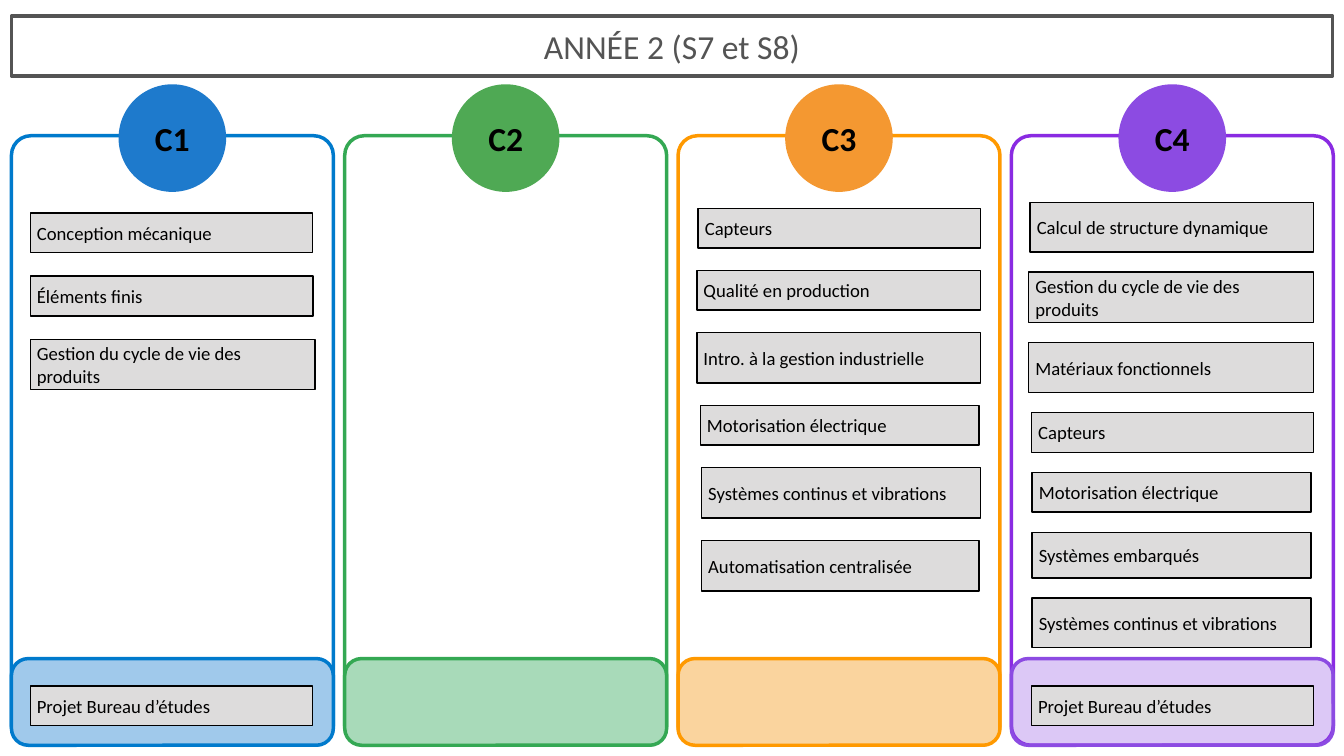
from lxml import etree
from pptx import Presentation
from pptx.dml.color import RGBColor
from pptx.enum.shapes import MSO_SHAPE
from pptx.enum.text import MSO_ANCHOR, PP_ALIGN
from pptx.oxml.ns import qn
from pptx.util import Inches, Pt

RECTANGLE, ROUNDED, OVAL = MSO_SHAPE.RECTANGLE, MSO_SHAPE.ROUNDED_RECTANGLE, MSO_SHAPE.OVAL
LEFT, CENTER, MIDDLE = PP_ALIGN.LEFT, PP_ALIGN.CENTER, MSO_ANCHOR.MIDDLE
TITLE_ONLY = 5
COLORS = {"title": "545454", "text": "000000", "course": "DDDCDC"}

# Column grid, in inches
MARGIN, COLUMN_STEP, COLUMN_WIDTH = 0.17, 4.96, 4.79
COLUMN_TOP, FOOTER_TOP, BOTTOM = 2.02, 9.8, 11.09
CIRCLE_TOP, CIRCLE_SIZE = 1.27, 1.57
PROJECT_TOP, ROW, TALL_ROW = 10.21, 0.59, 0.75

# Courses: text, left inset in the column, width, height
COLUMNS = [
    {"name": "C1", "border": "007ACC", "circle": "1E7ACC", "footer": "A0C9EB",
     "top": 3.17, "gap": 0.35, "project": 0.28, "courses": [
         ("Conception mécanique", 0.28, 4.2, ROW),
         ("Éléments finis", 0.28, 4.21, ROW),
         ("Gestion du cycle de vie des produits", 0.28, 4.24, TALL_ROW)]},
    {"name": "C2", "border": "34A853", "circle": "4FA954", "footer": "A8DAB9",
     "courses": []},
    {"name": "C3", "border": "FF9900", "circle": "F49831", "footer": "FAD49E",
     "top": 3.1, "gap": 0.335, "courses": [
         ("Capteurs", 0.3, 4.2, ROW),
         ("Qualité en production", 0.28, 4.22, ROW),
         ("Intro. à la gestion industrielle", 0.28, 4.22, TALL_ROW),
         ("Motorisation électrique", 0.33, 4.15, ROW),
         ("Systèmes continus et vibrations", 0.35, 4.15, TALL_ROW),
         ("Automatisation centralisée", 0.35, 4.13, TALL_ROW)]},
    {"name": "C4", "border": "8A2BE2", "circle": "8C4BE2", "footer": "8C4BE2",
     "footer_border": "8C4BE2", "footer_alpha": 30,
     "top": 3.01, "gap": 0.3, "project": 0.3, "courses": [
         ("Calcul de structure dynamique", 0.28, 4.22, 0.74),
         ("Gestion du cycle de vie des produits", 0.26, 4.24, TALL_ROW),
         ("Matériaux fonctionnels", 0.26, 4.24, 0.74),
         ("Capteurs", 0.3, 4.2, ROW),
         ("Motorisation électrique", 0.31, 4.15, ROW),
         ("Systèmes embarqués", 0.31, 4.15, 0.68),
         ("Systèmes continus et vibrations", 0.31, 4.15, 0.74)]},
]


def write_text(shape, text, size=20, color=COLORS["text"], bold=False, align=LEFT):
    frame = shape.text_frame
    frame.word_wrap = True
    frame.vertical_anchor = MIDDLE
    paragraph = frame.paragraphs[0]
    paragraph.alignment = align
    run = paragraph.add_run()
    run.text = text
    run.font.name = "Calibri"
    run.font.size = Pt(size)
    run.font.bold = bold
    run.font.color.rgb = RGBColor.from_string(color)


def add_box(kind, left, top, width, height, border, border_width, fill=None, radius=None):
    """Add a bordered shape; lengths and corner radius are in inches."""
    shape = slide.shapes.add_shape(
        kind, Inches(left), Inches(top), Inches(width), Inches(height))
    shape.shadow.inherit = False
    shape.line.color.rgb = RGBColor.from_string(border)
    shape.line.width = Pt(border_width)
    if fill:
        shape.fill.solid()
        shape.fill.fore_color.rgb = RGBColor.from_string(fill)
    else:
        shape.fill.background()
    if radius:
        shape.adjustments[0] = radius / min(width, height)
    return shape


presentation = Presentation()
presentation.slide_width = Inches(20)
presentation.slide_height = Inches(11.25)
slide = presentation.slides.add_slide(presentation.slide_layouts[TITLE_ONLY])

title = slide.shapes.title
title.left, title.top = Inches(MARGIN), Inches(0.24)
title.width, title.height = Inches(20 - 2 * MARGIN), Inches(0.89)
title.line.color.rgb = RGBColor.from_string(COLORS["title"])
title.line.width = Pt(3.75)
write_text(title, "ANNÉE 2 (S7 et S8)", size=36, color=COLORS["title"], align=CENTER)

for index, column in enumerate(COLUMNS):
    left = MARGIN + index * COLUMN_STEP
    add_box(ROUNDED, left, COLUMN_TOP, COLUMN_WIDTH, BOTTOM - COLUMN_TOP,
            column["border"], 3.75, radius=0.29)

    circle = add_box(OVAL, left + (COLUMN_WIDTH - CIRCLE_SIZE) / 2, CIRCLE_TOP,
                     CIRCLE_SIZE, CIRCLE_SIZE, column["circle"], 2.25, column["circle"])
    write_text(circle, column["name"], size=36, bold=True, align=CENTER)
    frame = circle.text_frame
    frame.margin_left = frame.margin_right = frame.margin_top = frame.margin_bottom = 0

    footer = add_box(ROUNDED, left, FOOTER_TOP, COLUMN_WIDTH, BOTTOM - FOOTER_TOP,
                     column.get("footer_border", column["border"]), 3.75,
                     column["footer"], radius=0.25)
    if "footer_alpha" in column:
        color = footer.fill._xPr.find(qn("a:solidFill"))[0]
        etree.SubElement(color, qn("a:alpha"), val=str(column["footer_alpha"] * 1000))

    boxes = []
    top = column.get("top")
    for text, inset, width, height in column["courses"]:
        boxes.append((text, inset, top, width, height))
        top += height + column["gap"]
    if "project" in column:
        boxes.append(("Projet Bureau d’études", column["project"], PROJECT_TOP, 4.2, ROW))
    for text, inset, top, width, height in boxes:
        box = add_box(RECTANGLE, left + inset, top, width, height,
                      COLORS["text"], 1.5, COLORS["course"])
        write_text(box, text)

presentation.save("out.pptx")
